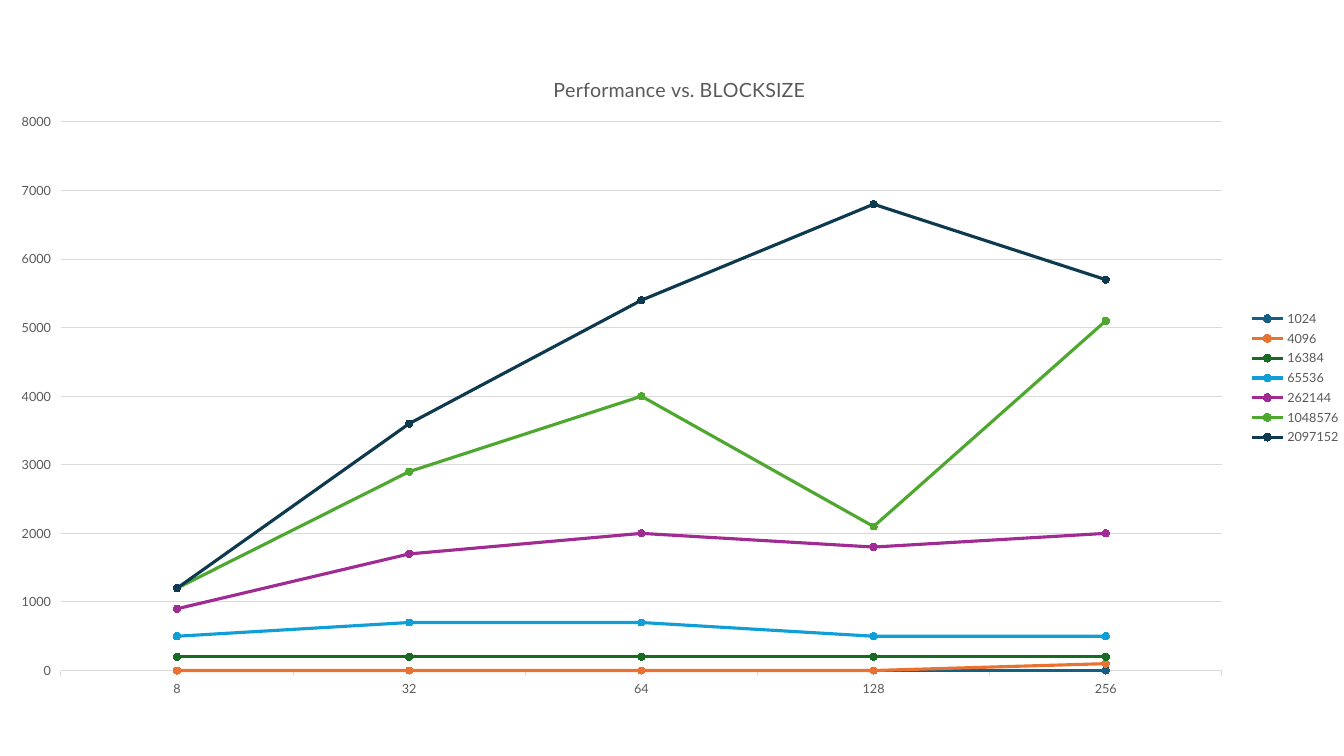
from dataclasses import dataclass

from lxml import etree
from pptx import Presentation
from pptx.chart.chart import Chart
from pptx.chart.data import CategoryChartData
from pptx.dml.color import RGBColor
from pptx.dml.line import LineFormat
from pptx.enum.chart import XL_CHART_TYPE, XL_LEGEND_POSITION, XL_MARKER_STYLE, XL_TICK_MARK
from pptx.oxml.ns import qn
from pptx.text.text import Font
from pptx.util import Pt

LINE_MARKERS = XL_CHART_TYPE.LINE_MARKERS
LEGEND_RIGHT = XL_LEGEND_POSITION.RIGHT
CIRCLE = XL_MARKER_STYLE.CIRCLE
TICK_OUTSIDE = XL_TICK_MARK.OUTSIDE

FONT_NAME = "Lato"
COLOURS = {
    "text": "595959",
    "rule": "D9D9D9",
    "blue": "156082",
    "orange": "E97132",
    "forest": "196B24",
    "sky": "0F9ED5",
    "purple": "A02B93",
    "green": "4EA72E",
    "navy": "0D3A4E",
}
BLOCK_SIZES = ["8", "32", "64", "128", "256"]


@dataclass(frozen=True)
class ProblemSize:
    name: str
    colour: str
    performance: tuple[int, ...]


PROBLEM_SIZES = [
    ProblemSize("1024", "blue", (0, 0, 0, 0, 0)),
    ProblemSize("4096", "orange", (0, 0, 0, 0, 100)),
    ProblemSize("16384", "forest", (200, 200, 200, 200, 200)),
    ProblemSize("65536", "sky", (500, 700, 700, 500, 500)),
    ProblemSize("262144", "purple", (900, 1700, 2000, 1800, 2000)),
    ProblemSize("1048576", "green", (1200, 2900, 4000, 2100, 5100)),
    ProblemSize("2097152", "navy", (1200, 3600, 5400, 6800, 5700)),
]


def colour(name: str) -> RGBColor:
    return RGBColor.from_string(COLOURS[name])


def set_font(font: Font, size: float) -> None:
    font.name = FONT_NAME
    font.size = Pt(size)
    font.bold = False
    font.color.rgb = colour("text")


def set_line(line: LineFormat, colour_name: str, width: float) -> None:
    line.color.rgb = colour(colour_name)
    line.width = Pt(width)


def place(parent: etree._Element, index: int, **settings: str | float) -> None:
    """Give a chart part a manual layout, in fractions of the chart."""
    for old_layout in parent.findall(qn("c:layout")):
        parent.remove(old_layout)
    layout = etree.Element(qn("c:layout"))
    manual = etree.SubElement(layout, qn("c:manualLayout"))
    for tag, value in settings.items():
        etree.SubElement(manual, qn(f"c:{tag}")).set("val", str(value))
    parent.insert(index, layout)


def format_title(chart: Chart) -> None:
    chart.has_title = True
    para = chart.chart_title.text_frame.paragraphs[0]
    para.text = "Performance vs. BLOCKSIZE"
    set_font(para.font, 14)
    title = chart.element.find(".//" + qn("c:title"))
    place(title, 1, xMode="edge", yMode="edge", x=0.41, y=0.04)


def format_axes(chart: Chart) -> None:
    for axis in (chart.category_axis, chart.value_axis):
        axis.major_tick_mark = TICK_OUTSIDE
        set_font(axis.tick_labels.font, 9)
    set_line(chart.category_axis.format.line, "rule", 0.75)
    values = chart.value_axis
    values.minimum_scale, values.maximum_scale, values.major_unit = 0, 8000, 1000
    values.format.line.fill.background()
    values.has_major_gridlines = True
    set_line(values.major_gridlines.format.line, "rule", 0.75)


def format_series(chart: Chart) -> None:
    for series, problem in zip(chart.plots[0].series, PROBLEM_SIZES):
        series.smooth = False
        set_line(series.format.line, problem.colour, 2.25)
        marker = series.marker
        marker.style = CIRCLE
        marker.size = 5
        marker.format.fill.solid()
        marker.format.fill.fore_color.rgb = colour(problem.colour)
        set_line(marker.format.line, problem.colour, 0.75)


def main() -> None:
    deck = Presentation()
    deck.slide_width, deck.slide_height = Pt(960), Pt(540)
    page = deck.slides.add_slide(deck.slide_layouts[6])

    data = CategoryChartData()
    data.categories = BLOCK_SIZES
    for problem in PROBLEM_SIZES:
        data.add_series(problem.name, problem.performance)
    chart = page.shapes.add_chart(
        LINE_MARKERS, Pt(-5), Pt(32.5), Pt(970), Pt(475), data
    ).chart

    set_font(chart.font, 10)
    chart.plots[0].vary_by_categories = False
    format_title(chart)
    format_axes(chart)
    format_series(chart)
    chart.has_legend = True
    chart.legend.position = LEGEND_RIGHT
    chart.legend.include_in_layout = False
    set_font(chart.legend.font, 9)
    plot_area = chart.element.find(".//" + qn("c:plotArea"))
    place(plot_area, 0, layoutTarget="inner", xMode="edge", yMode="edge",
          x=0.05, y=0.115, w=0.855, h=0.825)

    deck.save("out.pptx")


if __name__ == "__main__":
    main()
